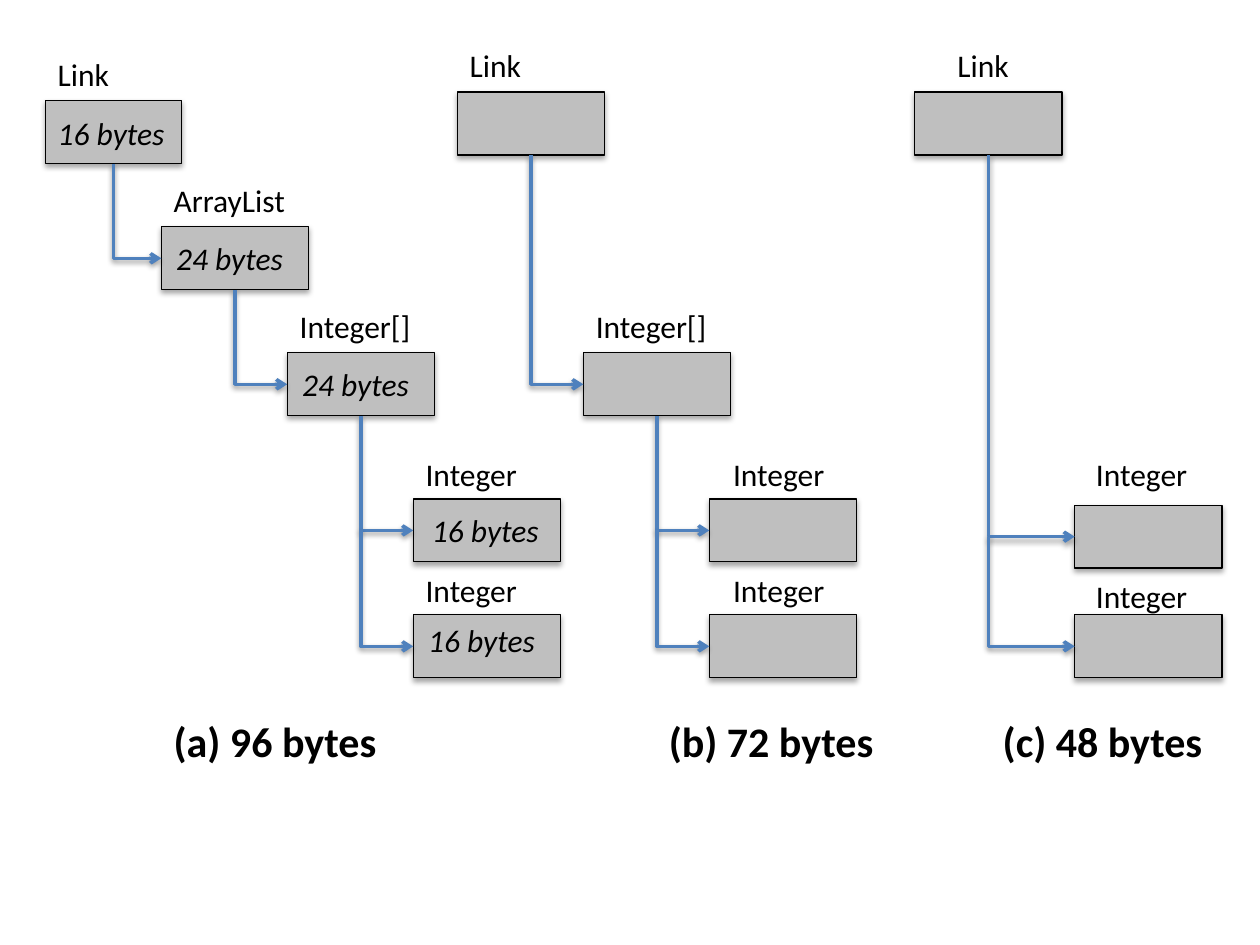
"""Build a slide comparing the memory layout of three Link representations."""
from lxml import etree
from pptx import Presentation
from pptx.dml.color import RGBColor
from pptx.enum.shapes import MSO_CONNECTOR, MSO_SHAPE
from pptx.enum.text import MSO_AUTO_SIZE
from pptx.oxml.ns import qn
from pptx.util import Inches, Pt

RECTANGLE = MSO_SHAPE.RECTANGLE
ELBOW = MSO_CONNECTOR.ELBOW
FIT_SHAPE = MSO_AUTO_SIZE.SHAPE_TO_FIT_TEXT
BLACK = RGBColor(0x00, 0x00, 0x00)
GRAY = RGBColor(0xBF, 0xBF, 0xBF)
BLUE = RGBColor(0x4F, 0x81, 0xBD)
BOX_WIDTH, BOX_HEIGHT = 1.17, 0.5

PANELS = [
    ("(a) 96 bytes", 1.28, 1.83, [
        ("Link", (0.36, 0.39), 0.36, 0.8, 1.08, "16 bytes", (0.36, 0.86)),
        ("ArrayList", (1.28, 1.39), 1.28, 1.8, BOX_WIDTH, "24 bytes", (1.3, 1.85)),
        ("Integer[]", (2.28, 2.39), 2.28, 2.8, BOX_WIDTH, "24 bytes", (2.3, 2.85)),
        ("Integer", (3.28, 3.56), 3.28, 3.96, BOX_WIDTH, "16 bytes", (3.33, 4.01)),
        ("Integer", (3.28, 4.48), 3.28, 4.88, BOX_WIDTH, "16 bytes", (3.3, 4.88)),
    ]),
    ("(b) 72 bytes", 5.21, 1.84, [
        ("Link", (3.63, 0.32), 3.63, 0.73, BOX_WIDTH, None, None),
        ("Integer[]", (4.63, 2.39), 4.63, 2.8, BOX_WIDTH, None, None),
        ("Integer", (5.72, 3.56), 5.63, 3.96, BOX_WIDTH, None, None),
        ("Integer", (5.72, 4.48), 5.63, 4.88, BOX_WIDTH, None, None),
    ]),
    ("(c) 48 bytes", 7.86, 1.8, [
        ("Link", (7.5, 0.32), 7.26, 0.73, BOX_WIDTH, None, None),
        ("Integer", (8.6, 3.56), 8.53, 4.01, BOX_WIDTH, None, None),
        ("Integer", (8.6, 4.53), 8.53, 4.88, BOX_WIDTH, None, None),
    ]),
]
NAME_WIDTHS = {"Link": 0.7, "ArrayList": 1.1, "Integer[]": 1.09, "Integer": 0.93}


def add_shadow(shape, distance, opacity):
    properties = shape._element.spPr
    effects = properties.find(qn("a:effectLst"))
    if effects is None:
        effects = etree.SubElement(properties, qn("a:effectLst"))
    shadow = etree.SubElement(effects, qn("a:outerShdw"), blurRad="40000",
                              dist=str(distance), dir="5400000", rotWithShape="0")
    color = etree.SubElement(shadow, qn("a:srgbClr"), val="000000")
    etree.SubElement(color, qn("a:alpha"), val=str(opacity * 1000))


def add_text(text, left, top, width, height=0.4, size=18, bold=False, italic=False):
    text_box = slide.shapes.add_textbox(Inches(left), Inches(top), Inches(width), Inches(height))
    text_frame = text_box.text_frame
    text_frame.word_wrap = False
    text_frame.auto_size = FIT_SHAPE
    text_frame.text = text
    font = text_frame.paragraphs[0].runs[0].font
    font.name = "Calibri"
    font.size = Pt(size)
    font.bold = bold
    font.italic = italic
    font.color.rgb = BLACK


presentation = Presentation()
presentation.slide_width = Inches(10)
presentation.slide_height = Inches(7.5)
slide = presentation.slides.add_slide(presentation.slide_layouts[6])

for caption, caption_left, caption_width, boxes in PANELS:
    for name, name_position, left, top, width, size_text, size_position in boxes:
        box = slide.shapes.add_shape(RECTANGLE, Inches(left), Inches(top),
                                     Inches(width), Inches(BOX_HEIGHT))
        box.fill.solid()
        box.fill.fore_color.rgb = GRAY
        box.line.color.rgb = BLACK
        box.line.width = Pt(0.75)
        box.shadow.inherit = False
        add_shadow(box, 23000, 35)

    last = len(boxes) - 1
    for index in range(1, len(boxes)):
        parent_index = min(index - 1, last - 2)
        parent_left, parent_top, parent_width = boxes[parent_index][2:5]
        start_x = parent_left + parent_width / 2
        start_y = parent_top + BOX_HEIGHT
        if index == last:
            start_y = boxes[index - 1][3] + BOX_HEIGHT / 2
        end_x, end_y = boxes[index][2], boxes[index][3] + BOX_HEIGHT / 2
        center_x, center_y = (start_x + end_x) / 2, (start_y + end_y) / 2
        half_length, half_breadth = (end_y - start_y) / 2, (end_x - start_x) / 2
        arrow = slide.shapes.add_connector(
            ELBOW, Inches(center_x + half_length), Inches(center_y - half_breadth),
            Inches(center_x - half_length), Inches(center_y + half_breadth))
        arrow.line.color.rgb = BLUE
        arrow.line.width = Pt(2)
        properties = arrow._element.spPr
        properties.find(qn("a:xfrm")).set("rot", "16200000")
        properties.find(qn("a:prstGeom")).set("prst", "bentConnector2")
        etree.SubElement(properties.find(qn("a:ln")), qn("a:tailEnd"), type="arrow")
        add_shadow(arrow, 20000, 38)

    for name, name_position, left, top, width, size_text, size_position in boxes:
        add_text(name, *name_position, NAME_WIDTHS[name])
        if size_text:
            add_text(size_text, *size_position, 1.12, italic=True)
    add_text(caption, caption_left, 5.63, caption_width, height=0.5, size=24, bold=True)

presentation.save("out.pptx")
